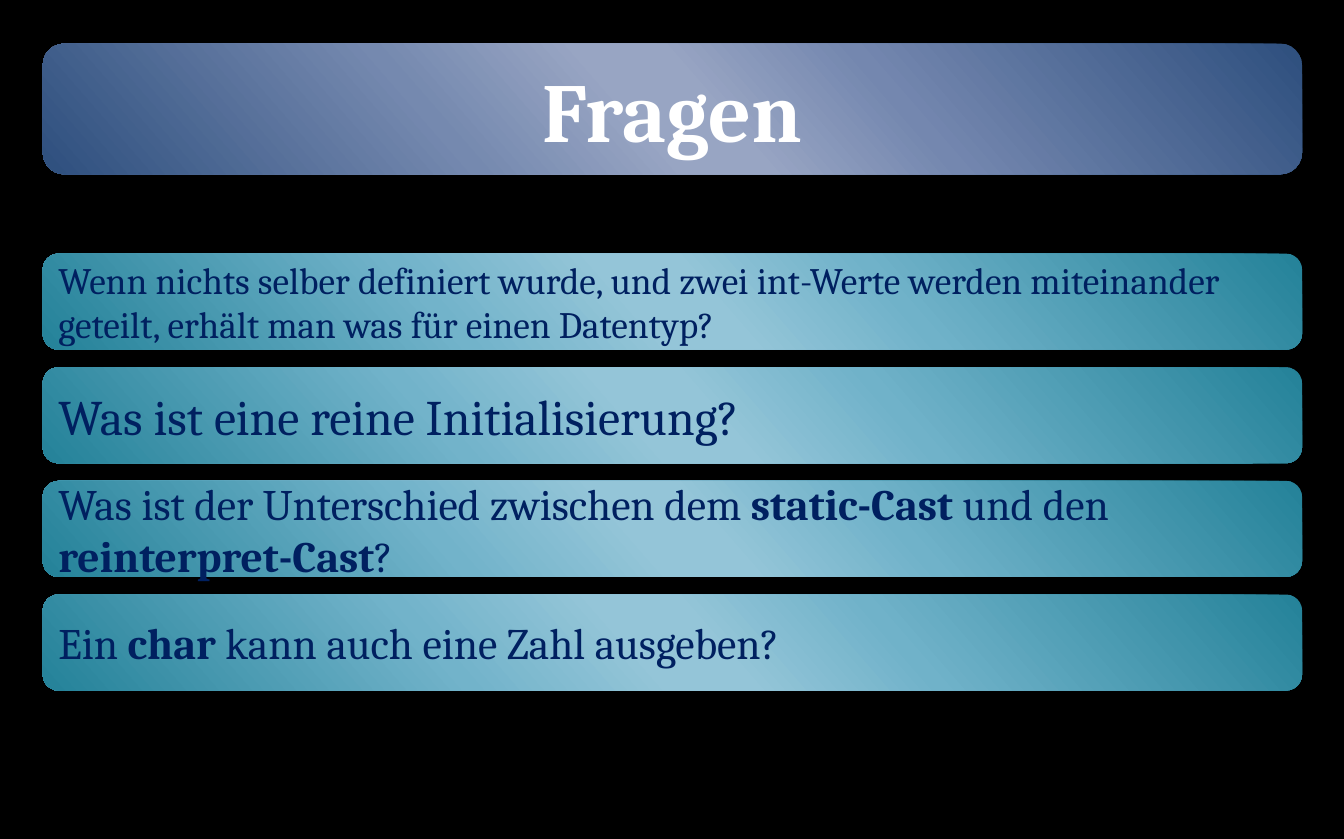
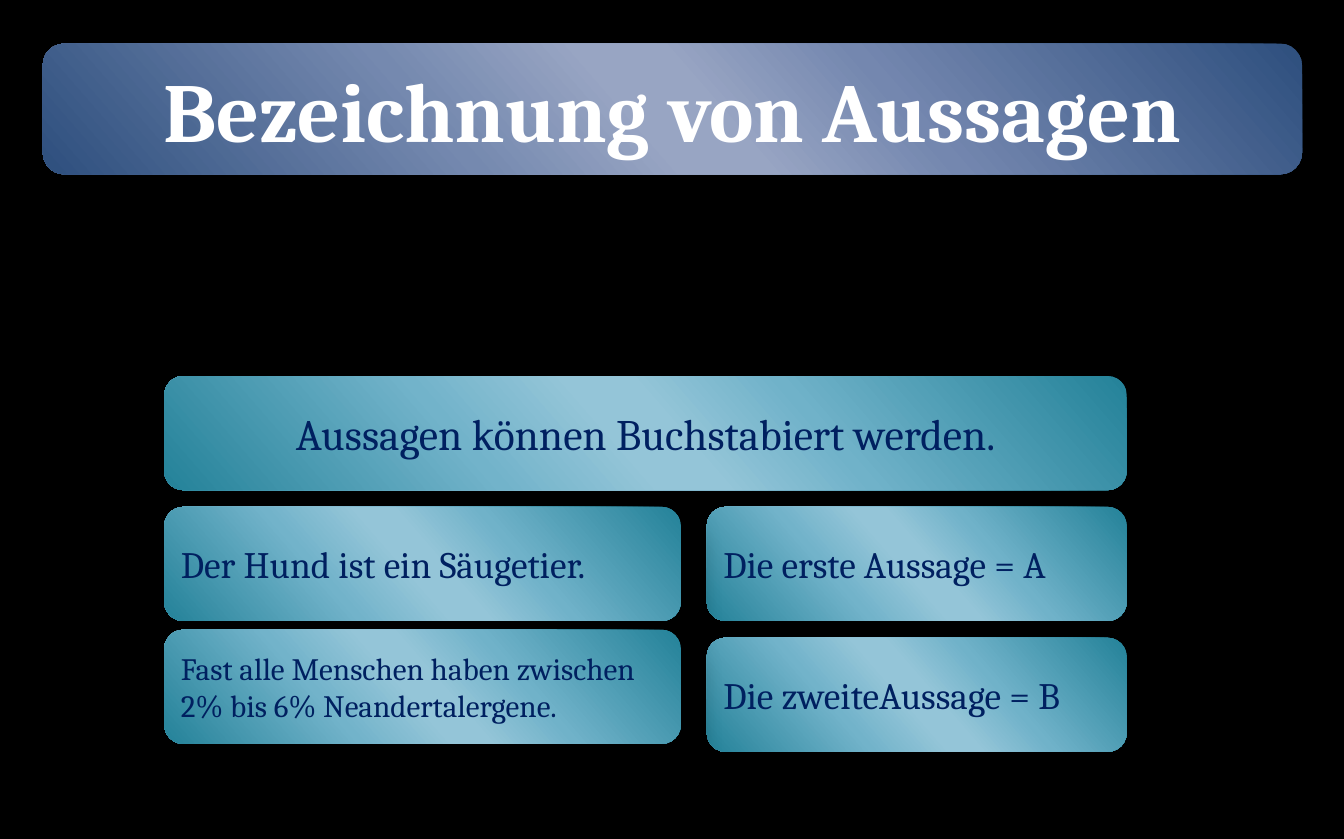
from lxml import etree
from pptx import Presentation
from pptx.dml.color import RGBColor
from pptx.enum.shapes import MSO_SHAPE
from pptx.enum.text import MSO_ANCHOR, PP_ALIGN
from pptx.oxml.ns import qn
from pptx.util import Cm, Pt

ROUND = MSO_SHAPE.ROUNDED_RECTANGLE
MIDDLE = MSO_ANCHOR.MIDDLE
LEFT, CENTER = PP_ALIGN.LEFT, PP_ALIGN.CENTER

# Content: text (** toggles bold) and size in points
QUESTIONS_TITLE = "Fragen"
QUESTIONS = [
    ("Wenn nichts selber definiert wurde, und zwei int-Werte werden "
     "miteinander geteilt, erhält man was für einen Datentyp?", 24),
    ("Was ist eine reine Initialisierung?", 32),
    ("Was ist der Unterschied zwischen dem **static-Cast** und den "
     "**reinterpret-Cast**?", 28),
    ("Ein **char** kann auch eine Zahl ausgeben?", 28),
]
STATEMENTS_TITLE = "Bezeichnung von Aussagen"
STATEMENTS_LEAD = "Aussagen können Buchstabiert werden."
LABELS = [("Die erste Aussage = A", 24), ("Die zweiteAussage = B", 24)]
EXAMPLES = [
    ("Der Hund ist ein Säugetier.", 24),
    ("Fast alle Menschen haben zwischen 2% bis 6% Neandertalergene.", 20),
]

# Shared style
FONT = "Cambria"
BACKGROUND = "000000"
SHADOW = "000000"
GRADIENT_ANGLE = 139  # clockwise
STOPS = (0, 33, 47, 53, 68, 100)
TITLE_STYLE = {
    "colors": ("2E4F7E", "7487AF", "98A5C3", "98A5C3", "7589AF", "2E4F7E"),
    "text": "FFFFFF", "bold": True}
CARD_STYLE = {
    "colors": ("248299", "70B2C9", "94C5D8", "94C5D8", "72B3CA", "248299"),
    "text": "002060", "bold": False}

# Shared layout, in centimetres
SLIDE_W, SLIDE_H = 30.5, 19.05
MARGIN = 0.97
FULL_W = 28.58


def rgb(value):
    return RGBColor.from_string(value)


def add_color(parent, tag, value, **attrs):
    """Append an element with attributes and a colour; return the colour."""
    node = etree.SubElement(parent, qn(tag), {k: str(v) for k, v in attrs.items()})
    return etree.SubElement(node, qn("a:srgbClr"), val=value)


def paint(shape, colors):
    """Gradient fill, no outline and a soft shadow to the lower right."""
    shape.fill.gradient()
    shape.fill.gradient_angle = 360 - GRADIENT_ANGLE
    stops = shape._element.spPr.find(".//" + qn("a:gsLst"))
    for old in list(stops):
        stops.remove(old)
    for pos, value in zip(STOPS, colors):
        add_color(stops, "a:gs", value, pos=pos * 1000)
    shape.line.fill.background()
    shape.shadow.inherit = False
    effects = shape._element.spPr.find(qn("a:effectLst"))
    color = add_color(effects, "a:outerShdw", SHADOW, blurRad=Pt(15), dist=Pt(18),
                      dir=45 * 60000, algn="tl", rotWithShape=0)
    etree.SubElement(color, qn("a:alpha"), val="26000")


def add_box(s, x, y, w, h, text, size, style=CARD_STYLE, align=LEFT):
    shape = s.shapes.add_shape(ROUND, Cm(x), Cm(y), Cm(w), Cm(h))
    paint(shape, style["colors"])
    tf = shape.text_frame
    tf.word_wrap = True
    tf.vertical_anchor = MIDDLE
    p = tf.paragraphs[0]
    p.alignment = align
    for i, part in enumerate(text.split("**")):
        r = p.add_run()
        r.text = part
        font = {"name": FONT, "size": Pt(size), "bold": style["bold"] or i % 2 == 1}
        for name, value in font.items():
            setattr(r.font, name, value)
        r.font.color.rgb = rgb(style["text"])


def add_column(s, x, y, w, h, pitch, items):
    for i, (text, size) in enumerate(items):
        add_box(s, x, y + i * pitch, w, h, text, size)


def add_slide(prs, title):
    s = prs.slides.add_slide(prs.slide_layouts[6])
    add_box(s, MARGIN, 0.99, FULL_W, 2.97, title, 54, TITLE_STYLE, CENTER)
    return s


def questions_slide(prs):
    s = add_slide(prs, QUESTIONS_TITLE)
    add_column(s, MARGIN, 5.76, FULL_W, 2.18, 2.58, QUESTIONS)


def statements_slide(prs):
    s = add_slide(prs, STATEMENTS_TITLE)
    left, top, width, height, pitch = 3.73, 8.54, 21.84, 2.59, 2.97
    label_w, example_w = 9.53, 11.72
    row = top + pitch
    add_box(s, left, top, width, height, STATEMENTS_LEAD, 28, align=CENTER)
    add_column(s, left + width - label_w, row, label_w, height, pitch, LABELS)
    add_column(s, left, row, example_w, height, 2.79, EXAMPLES)


def main():
    prs = Presentation()
    prs.slide_width, prs.slide_height = Cm(SLIDE_W), Cm(SLIDE_H)
    fill = prs.slide_master.background.fill
    fill.solid()
    fill.fore_color.rgb = rgb(BACKGROUND)
    questions_slide(prs)
    statements_slide(prs)
    prs.save("out.pptx")


if __name__ == "__main__":
    main()
